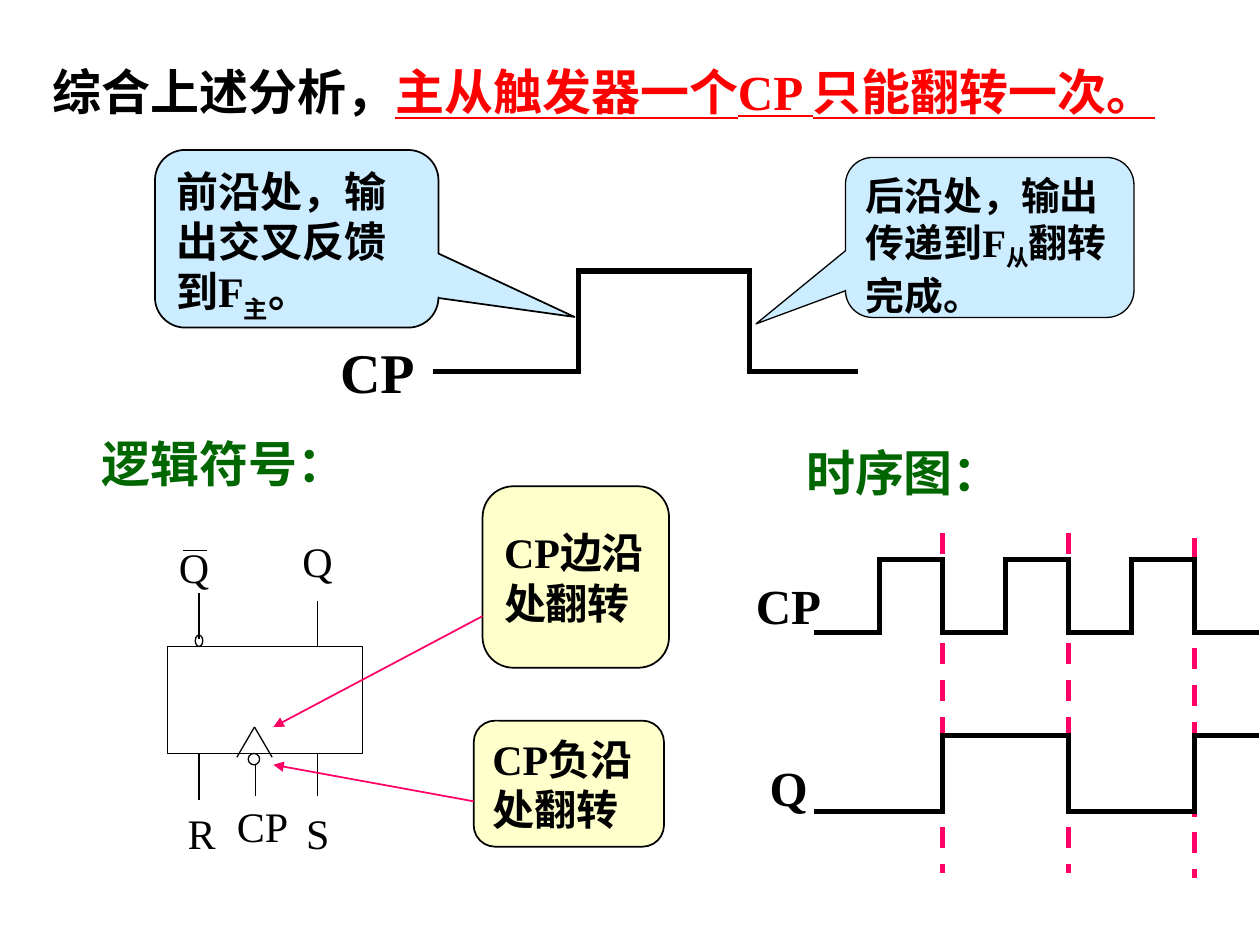
from dataclasses import dataclass
from itertools import pairwise

from lxml.etree import SubElement
from pptx import Presentation
from pptx.dml.color import RGBColor
from pptx.enum.dml import MSO_LINE_DASH_STYLE as Dash
from pptx.enum.shapes import MSO_CONNECTOR as Link, MSO_SHAPE as Preset
from pptx.enum.text import MSO_ANCHOR as Anchor, MSO_AUTO_SIZE as AutoSize, PP_ALIGN as Align
from pptx.oxml.ns import qn
from pptx.util import Inches, Pt

COLOURS = {
    "ink": "000000", "paper": "FFFFFF", "stress": "FF0000", "heading": "006600",
    "marker": "FF0066", "callout": "CCECFF", "note": "FFFFCC",
}
FONT = "Times New Roman"

Box = tuple[float, float, float, float]
Point = tuple[float, float]


@dataclass(frozen=True)
class Label:
    text: str
    box: Box
    size: float
    colour: str = "ink"
    bold: bool = True


@dataclass(frozen=True)
class Bubble:
    preset: Preset
    box: Box
    adjustments: tuple[float, ...]
    fill: str
    border: float
    size: float
    wording: tuple[str, ...]
    anchor: Anchor = Anchor.TOP


@dataclass(frozen=True)
class Wave:
    start: float
    edges: tuple[float, ...]
    end: float
    low: float
    high: float


def rgb(name: str) -> RGBColor:
    return RGBColor.from_string(COLOURS[name])


def inches(box: Box) -> list[Inches]:
    return [Inches(length) for length in box]


def style(paragraph, size: float, colour: str = "ink", bold: bool = True) -> None:
    paragraph.alignment = Align.LEFT
    paragraph.space_before = Pt(0)
    font = paragraph.font
    font.name, font.size, font.bold = FONT, Pt(size), bold
    font.color.rgb = rgb(colour)


def draw_line(slide, start: Point, end: Point, width: float, colour: str = "ink"):
    line = slide.shapes.add_connector(Link.STRAIGHT, *inches((*start, *end)))
    line.line.width = Pt(width)
    line.line.color.rgb = rgb(colour)
    SubElement(line._element.spPr, qn("a:effectLst"))
    return line


def draw_arrow(slide, start: Point, end: Point) -> None:
    arrow = draw_line(slide, start, end, 1, "marker")
    SubElement(arrow.line._get_or_add_ln(), qn("a:tailEnd"), type="triangle")


def draw_wave(slide, wave: Wave) -> None:
    points = [(wave.start, wave.low)]
    levels = [wave.low, wave.high]
    for index, x in enumerate(wave.edges):
        points += [(x, levels[index % 2]), (x, levels[(index + 1) % 2])]
    points.append((wave.end, points[-1][1]))
    for start, end in pairwise(points):
        segment = draw_line(slide, start, end, 3)
        segment.line._get_or_add_ln().set("cap", "sq")


def draw_shape(slide, preset: Preset, box: Box, fill: str, border: float):
    shape = slide.shapes.add_shape(preset, *inches(box))
    shape.shadow.inherit = False
    shape.fill.solid()
    shape.fill.fore_color.rgb = rgb(fill)
    shape.line.color.rgb = rgb("ink")
    shape.line.width = Pt(border)
    return shape


def draw_label(slide, label: Label, margins: bool = True) -> None:
    frame = slide.shapes.add_textbox(*inches(label.box)).text_frame
    frame.word_wrap = True
    if not margins:
        frame.margin_left = frame.margin_right = frame.margin_top = frame.margin_bottom = 0
    paragraph = frame.paragraphs[0]
    style(paragraph, label.size, label.colour, label.bold)
    paragraph.add_run().text = label.text


def draw_bubble(slide, bubble: Bubble) -> None:
    shape = draw_shape(slide, bubble.preset, bubble.box, bubble.fill, bubble.border)
    for index, value in enumerate(bubble.adjustments):
        shape.adjustments[index] = value
    frame = shape.text_frame
    frame.word_wrap = True
    frame.vertical_anchor = bubble.anchor
    paragraph = frame.paragraphs[0]
    style(paragraph, bubble.size)
    for index, words in enumerate(bubble.wording):
        run = paragraph.add_run()
        run.text = words
        if index == 1:
            run._r.get_or_add_rPr().set("baseline", "-25000")


def draw_title(slide) -> None:
    title = slide.shapes.title
    title.left, title.top, title.width, title.height = inches((0.32, 0.44, 9.15, 0.57))
    frame = title.text_frame
    frame.auto_size = AutoSize.NONE
    frame.word_wrap = False
    frame.vertical_anchor = Anchor.TOP
    paragraph = frame.paragraphs[0]
    style(paragraph, 28)
    paragraph.add_run().text = "综合上述分析，"
    conclusion = paragraph.add_run()
    conclusion.text = "主从触发器一个CP 只能翻转一次。"
    conclusion.font.color.rgb = rgb("stress")
    conclusion.font.underline = True


def draw_logic_symbol(slide) -> None:
    left, right, top, bottom, clock = 1.58, 2.52, 5.13, 5.98, 2.02
    draw_shape(slide, Preset.RECTANGLE, (1.33, top, 1.55, bottom - top), "paper", 0.75)
    draw_shape(slide, Preset.OVAL, (1.55, 5.04, 0.06, 0.09), "paper", 0.75)
    wires = [
        ((left, bottom), (left, 6.35)), ((right, bottom), (right, 6.32)),
        ((right, top), (right, 4.77)), ((left, 5.07), (left, 4.71)),
        ((clock, 5.77), (clock - 0.14, 6.01)), ((clock, 5.77), (clock + 0.14, 6.01)),
        ((clock + 0.01, bottom), (clock + 0.01, 6.32)), ((1.45, 4.37), (1.64, 4.37)),
    ]
    for start, end in wires:
        draw_line(slide, start, end, 0.75)
    draw_shape(slide, Preset.OVAL, (1.97, bottom, 0.09, 0.09), "paper", 0.75)
    pins = [("Q", 2.4, 4.25), ("Q", 1.42, 4.3), ("R", 1.49, 6.41), ("S", 2.43, 6.41), ("CP", 1.88, 6.35)]
    for name, x, y in pins:
        draw_label(slide, Label(name, (x, y, 0.43, 0.43), 24, bold=False), margins=False)


def main() -> None:
    deck = Presentation()
    deck.slide_width, deck.slide_height = Inches(10), Inches(7.5)
    slide = deck.slides.add_slide(deck.slide_layouts[5])
    draw_title(slide)

    clock_edges = tuple(6.98 + 0.5 * step for step in range(6))
    falling_edges = clock_edges[1::2]
    for x, top in zip(falling_edges, (4.23, 4.23, 4.27)):
        marker = draw_line(slide, (x, top), (x, top + 2.7), 3, "marker")
        marker.line.dash_style = Dash.DASH
    for wave in (
        Wave(3.46, (4.59, 5.95), 6.79, 2.95, 2.15),
        Wave(6.48, clock_edges, 9.97, 5.02, 4.44),
        Wave(6.48, falling_edges, 9.97, 6.44, 5.84),
    ):
        draw_wave(slide, wave)

    draw_logic_symbol(slide)
    callout, note = Preset.ROUNDED_RECTANGULAR_CALLOUT, Preset.ROUNDED_RECTANGLE
    for bubble in (
        Bubble(callout, (1.23, 1.19, 2.25, 1.41), (0.98, 0.44, 0.17), "callout", 1, 24,
               ("前沿处，输出交叉反馈到F", "主", "。")),
        Bubble(callout, (6.71, 1.25, 2.29, 1.27), (-0.81, 0.54, 0.17), "callout", 0.75, 22.2,
               ("后沿处，输出传递到F", "从", "翻转完成。")),
        Bubble(note, (3.83, 3.86, 1.48, 1.44), (0.17,), "note", 1, 24, ("CP边沿处翻转",), Anchor.MIDDLE),
        Bubble(note, (3.76, 5.72, 1.51, 1), (0.17,), "note", 1, 24, ("CP负沿处翻转",), Anchor.MIDDLE),
    ):
        draw_bubble(slide, bubble)
    draw_arrow(slide, (3.83, 4.89), (2.17, 5.77))
    draw_arrow(slide, (3.76, 6.36), (2.17, 6.07))

    for label in (
        Label("CP", (2.6, 2.63, 1.31, 0.64), 32),
        Label("逻辑符号：", (0.71, 3.39, 2.58, 0.57), 28, "heading"),
        Label("时序图：", (6.3, 3.46, 2.94, 0.57), 28, "heading"),
        Label("CP", (5.9, 4.52, 1.08, 0.57), 28),
        Label("Q", (6.01, 5.96, 0.92, 0.57), 28),
    ):
        draw_label(slide, label)
    deck.save("out.pptx")


if __name__ == "__main__":
    main()
